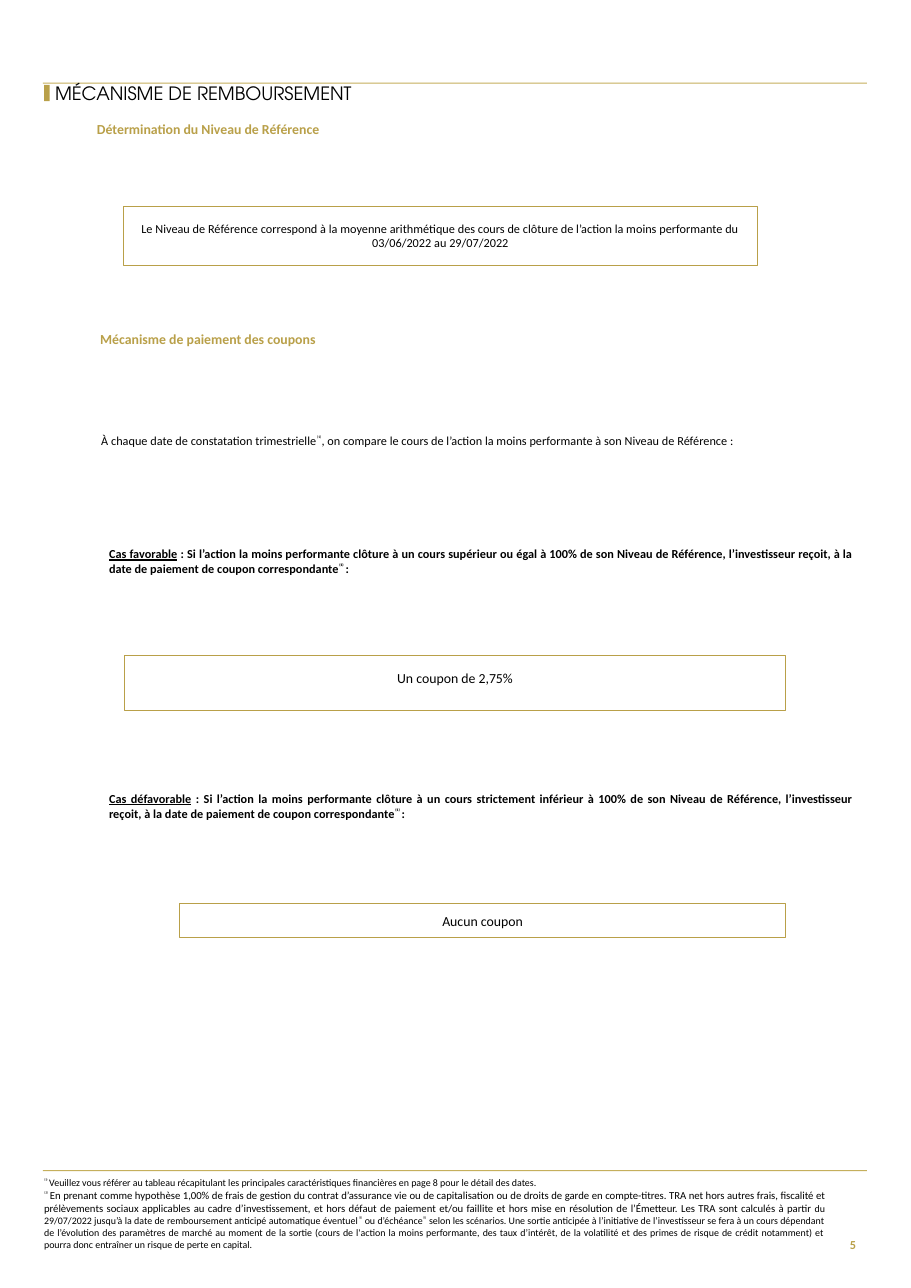
import dataclasses

import pptx
import pptx.dml.color
import pptx.enum.shapes
import pptx.enum.text
import pptx.util

ALIGN = pptx.enum.text.PP_ALIGN
ANCHOR = pptx.enum.text.MSO_ANCHOR


@dataclasses.dataclass(frozen=True)
class Theme:
    gold: str = "B9A049"
    rule_gold: str = "C5AF5C"
    black: str = "000000"
    white: str = "FFFFFF"
    body_font: str = "Calibri"
    title_font: str = "TeX Gyre Adventor"
    title: float = 12
    heading: float = 9
    body: float = 8
    note_large: float = 7
    note: float = 6.5


@dataclasses.dataclass(frozen=True)
class Run:
    text: str
    size: float = None
    raised: bool = False
    underline: bool = False


class Page:
    def __init__(self, presentation, theme):
        self.theme = theme
        self.slide = presentation.slides.add_slide(presentation.slide_layouts[6])

    def color(self, value):
        return pptx.dml.color.RGBColor.from_string(value)

    def place(self, frame):
        return [pptx.util.Pt(length) for length in frame]

    def rectangle(self, frame, fill=None, line=None, width=0.75):
        shape = self.slide.shapes.add_shape(
            pptx.enum.shapes.MSO_SHAPE.RECTANGLE, *self.place(frame))
        shape.shadow.inherit = False
        if fill:
            shape.fill.solid()
            shape.fill.fore_color.rgb = self.color(fill)
        else:
            shape.fill.background()
        if line:
            shape.line.color.rgb = self.color(line)
            shape.line.width = pptx.util.Pt(width)
        else:
            shape.line.fill.background()
        return shape

    def rule(self, top):
        self.rectangle((28.1, top, 538.6, 0.72), self.theme.rule_gold)

    def fill_text(self, shape, paragraphs, size, color=None, font=None, bold=False,
                  align=ALIGN.LEFT, anchor=ANCHOR.TOP, insets=(0, 0, 0, 0), spacing=1):
        frame = shape.text_frame
        frame.word_wrap = True
        frame.vertical_anchor = anchor
        (frame.margin_left, frame.margin_top,
         frame.margin_right, frame.margin_bottom) = self.place(insets)
        for index, runs in enumerate(paragraphs):
            paragraph = frame.add_paragraph() if index else frame.paragraphs[0]
            paragraph.alignment = align
            paragraph.line_spacing = spacing
            for part in runs:
                run = paragraph.add_run()
                run.text = part.text
                run.font.size = pptx.util.Pt(part.size or size)
                run.font.name = font or self.theme.body_font
                run.font.bold = bold
                run.font.underline = part.underline
                run.font.color.rgb = self.color(color or self.theme.black)
                if part.raised:
                    run._r.get_or_add_rPr().set("baseline", "30000")

    def text(self, frame, paragraphs, size, **style):
        self.fill_text(self.slide.shapes.add_textbox(*self.place(frame)),
                       paragraphs, size, **style)

    def heading(self, frame, text):
        self.text(frame, [[Run(text)]], self.theme.heading,
                  color=self.theme.gold, bold=True, insets=(14.4, 0, 0, 0))

    def case(self, top, name, condition):
        runs = [Run(name, underline=True), Run(" : " + condition),
                Run("⁽¹⁾ ", raised=True), Run(":")]
        self.text((71.3, top, 486.7, 19.4), [runs], self.theme.body,
                  bold=True, align=ALIGN.JUSTIFY)

    def framed(self, frame, text, size, fill=None, width=0.75,
               insets=(8.6, 5, 8.6, 5), spacing=1):
        shape = self.rectangle(frame, fill, self.theme.gold, width)
        self.fill_text(shape, [[Run(text)]], size, align=ALIGN.CENTER,
                       anchor=ANCHOR.MIDDLE, insets=insets, spacing=spacing)


def main():
    theme = Theme()
    presentation = pptx.Presentation()
    presentation.slide_width = pptx.util.Pt(595.44)
    presentation.slide_height = pptx.util.Pt(841.68)
    page = Page(presentation, theme)
    reference = Run("⁽¹⁾", raised=True)

    page.rule(54)
    page.text((36, 52.6, 303, 18), [[Run("MÉCANISME DE REMBOURSEMENT")]],
              theme.title, font=theme.title_font, anchor=ANCHOR.MIDDLE, spacing=0.9)
    page.rectangle((28.8, 55.4, 3.6, 10.8), theme.gold)

    page.heading((49, 79.2, 228.2, 13), "Détermination du Niveau de Référence")
    page.framed(
        (80.6, 134.6, 414.7, 38.9),
        "Le Niveau de Référence correspond à la moyenne arithmétique des cours de "
        "clôture de l’action la moins performante du 03/06/2022 au 29/07/2022",
        theme.body, width=0.5)

    page.heading((51.1, 216, 487.4, 12.2), "Mécanisme de paiement des coupons")
    page.text((66.2, 283, 473, 9.4), [[
        Run("À chaque date de constatation trimestrielle"), reference,
        Run(", on compare le cours de l’action la moins performante à son "
            "Niveau de Référence :")]], theme.body, align=ALIGN.JUSTIFY)

    page.case(357.1, "Cas favorable",
              "Si l’action la moins performante clôture à un cours supérieur ou égal "
              "à 100% de son Niveau de Référence, l’investisseur reçoit, à la date de "
              "paiement de coupon correspondante")
    page.framed((81.4, 428.4, 432, 36), "Un coupon de 2,75%", theme.heading,
                fill=theme.white, insets=(8.6, 6, 8.6, 11), spacing=0.9)
    page.case(517, "Cas défavorable",
              "Si l’action la moins performante clôture à un cours strictement "
              "inférieur à 100% de son Niveau de Référence, l’investisseur reçoit, à "
              "la date de paiement de coupon correspondante")
    page.framed((117.4, 590.4, 396, 22.3), "Aucun coupon", theme.heading,
                fill=theme.white)

    page.rule(764.6)
    page.text((28.8, 769, 510.5, 49), [
        [Run("⁽¹⁾ ", raised=True),
         Run("Veuillez vous référer au tableau récapitulant les principales "
             "caractéristiques financières en page 8 pour le détail des dates.")],
        [Run("⁽²⁾ ", raised=True),
         Run("En prenant comme hypothèse 1,00% de frais de gestion du contrat "
             "d’assurance vie ou de capitalisation ou de droits de garde en "
             "compte-titres. TRA net hors autres frais, fiscalité et prélèvements "
             "sociaux applicables au cadre d’investissement, et hors défaut de "
             "paiement et/ou faillite et hors mise en résolution de l’Émetteur. Les "
             "TRA sont calculés à partir ", size=theme.note_large),
         Run("du 29/07/2022 jusqu’à la date de remboursement anticipé automatique "
             "éventuel"), reference, Run(" ou d’échéance"), reference,
         Run(" selon les scénarios. Une sortie anticipée à l’initiative de "
             "l’investisseur se fera à un cours dépendant de l’évolution des "
             "paramètres de marché au moment de la sortie (cours de l'action la "
             "moins performante, des taux d’intérêt, de la volatilité et des primes "
             "de risque de crédit notamment) et pourra donc entraîner un risque de "
             "perte en capital.")],
    ], theme.note, align=ALIGN.JUSTIFY)
    page.text((538.6, 798.5, 28.1, 30.2), [[Run("5")]], theme.body, color=theme.gold,
              bold=True, align=ALIGN.RIGHT, anchor=ANCHOR.MIDDLE,
              insets=(7.2, 3.6, 7.2, 3.6))

    presentation.save("out.pptx")


if __name__ == "__main__":
    main()
